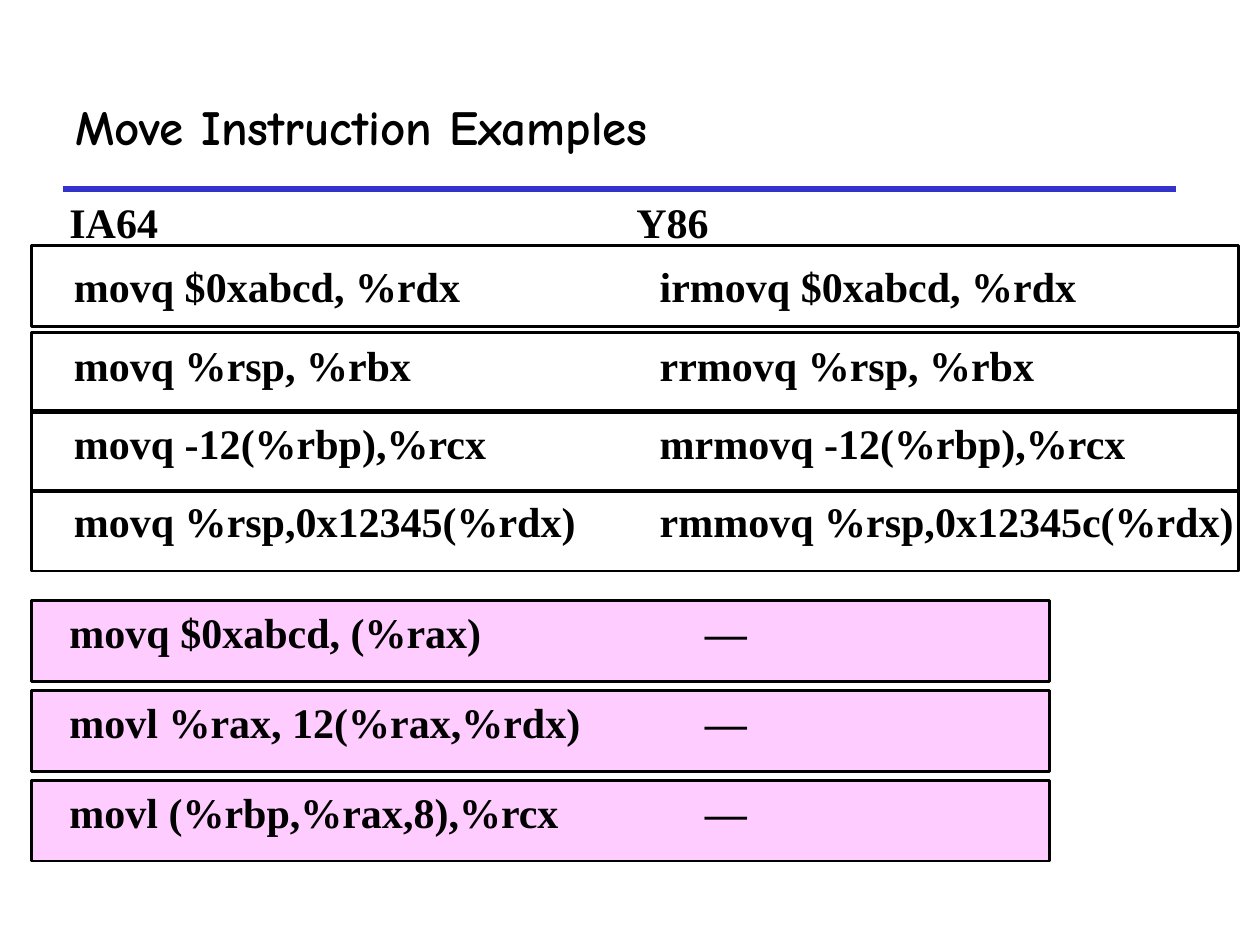
from dataclasses import dataclass

from lxml.etree import SubElement
from pptx import Presentation
from pptx.dml.color import RGBColor
from pptx.enum.shapes import MSO_CONNECTOR, MSO_SHAPE
from pptx.enum.text import MSO_ANCHOR
from pptx.oxml.ns import qn
from pptx.util import Cm, Pt


@dataclass(frozen=True)
class Theme:
    ink: RGBColor = RGBColor(0, 0, 0)
    rule: RGBColor = RGBColor(0x33, 0x33, 0xCC)
    invalid: RGBColor = RGBColor(0xFF, 0xCC, 0xFF)
    title_font: str = "Comic Neue"
    body_font: str = "Times New Roman"
    title_size: Pt = Pt(28)
    body_size: Pt = Pt(24)
    rule_width: Pt = Pt(3)
    frame_width: Pt = Pt(1.5)


THEME = Theme()
FRAME_LEFT, FRAME_HEIGHT = 0.64, 1.63

MOVES = [
    ("movq $0xabcd, %rdx", "irmovq $0xabcd, %rdx"),
    ("movq %rsp, %rbx", "rrmovq %rsp, %rbx"),
    ("movq -12(%rbp),%rcx", "mrmovq -12(%rbp),%rcx"),
    ("movq %rsp,0x12345(%rdx)", "rmmovq %rsp,0x12345c(%rdx)"),
]
MOVE_FRAME_TOPS = [4.95, 6.7, 8.28, 9.88]
UNSUPPORTED = [
    "movq $0xabcd, (%rax)",
    "movl %rax, 12(%rax,%rdx)",
    "movl (%rbp,%rax,8),%rcx",
]


def add_text(shapes, text, left, top, width, height, font=THEME.body_font,
             size=THEME.body_size, side_inset=0.25, indent=0, wrap=True):
    label = shapes.add_textbox(Cm(left), Cm(top), Cm(width), Cm(height))
    frame = label.text_frame
    frame.word_wrap = wrap
    frame.vertical_anchor = MSO_ANCHOR.MIDDLE
    frame.margin_left = frame.margin_right = Cm(side_inset)
    frame.margin_top = frame.margin_bottom = Cm(0.13)
    paragraph = frame.paragraphs[0]
    paragraph.text = text
    if indent:
        paragraph._p.get_or_add_pPr().set("marL", str(Cm(indent)))
    paragraph.font.name = font
    paragraph.font.size = size
    paragraph.font.bold = True
    paragraph.font.color.rgb = THEME.ink


def add_frame(shapes, top, width, fill=None):
    frame = shapes.add_shape(MSO_SHAPE.RECTANGLE, Cm(FRAME_LEFT), Cm(top),
                             Cm(width), Cm(FRAME_HEIGHT))
    frame.shadow.inherit = False
    if fill is None:
        frame.fill.background()
    else:
        frame.fill.solid()
        frame.fill.fore_color.rgb = fill
    frame.line.color.rgb = THEME.ink
    frame.line.width = THEME.frame_width


def add_rule(shapes, left, right, y):
    rule = shapes.add_connector(MSO_CONNECTOR.STRAIGHT, Cm(left), Cm(y),
                                Cm(right), Cm(y))
    rule.line.color.rgb = THEME.rule
    rule.line.width = THEME.rule_width
    SubElement(rule._element.spPr, qn("a:effectLst"))


def add_unsupported(shapes):
    pitch = 1.81
    for row in range(len(UNSUPPORTED)):
        add_frame(shapes, 12.11 + row * pitch, 20.52, THEME.invalid)
    for row, instruction in enumerate(UNSUPPORTED):
        top = 12.01 + row * pitch
        add_text(shapes, instruction, 1.15, top, 11.2, 1.45)
        add_text(shapes, "—", 11.28, top, 7.34, 1.45, indent=2.68)


def add_moves(shapes):
    for top in MOVE_FRAME_TOPS:
        add_frame(shapes, top, 24.33)
    for row, (ia64, y86) in enumerate(MOVES):
        top = 5.13 + row * 1.58
        add_text(shapes, ia64, 1.24, top, 11.2, 1.27)
        add_text(shapes, y86, 13.05, top, 12.3, 1.27)


def main():
    deck = Presentation()
    deck.slide_width, deck.slide_height = Cm(25.4), Cm(19.05)
    shapes = deck.slides.add_slide(deck.slide_layouts[6]).shapes

    # Title and rule
    add_rule(shapes, 1.27, 23.7, 3.81)
    add_text(shapes, "Move Instruction Examples", 1.27, 1.27, 22.43, 2.54,
             THEME.title_font, THEME.title_size)

    # Column headings
    for heading, left, width in [("IA64", 1.27, 2.08), ("Y86", 12.7, 1.75)]:
        add_text(shapes, heading, left, 3.81, width, 1.3, side_inset=0.13,
                 wrap=False)

    # Instructions without, then with, a Y86 counterpart
    add_unsupported(shapes.add_group_shape().shapes)
    add_moves(shapes.add_group_shape().shapes)

    deck.save("out.pptx")


if __name__ == "__main__":
    main()
